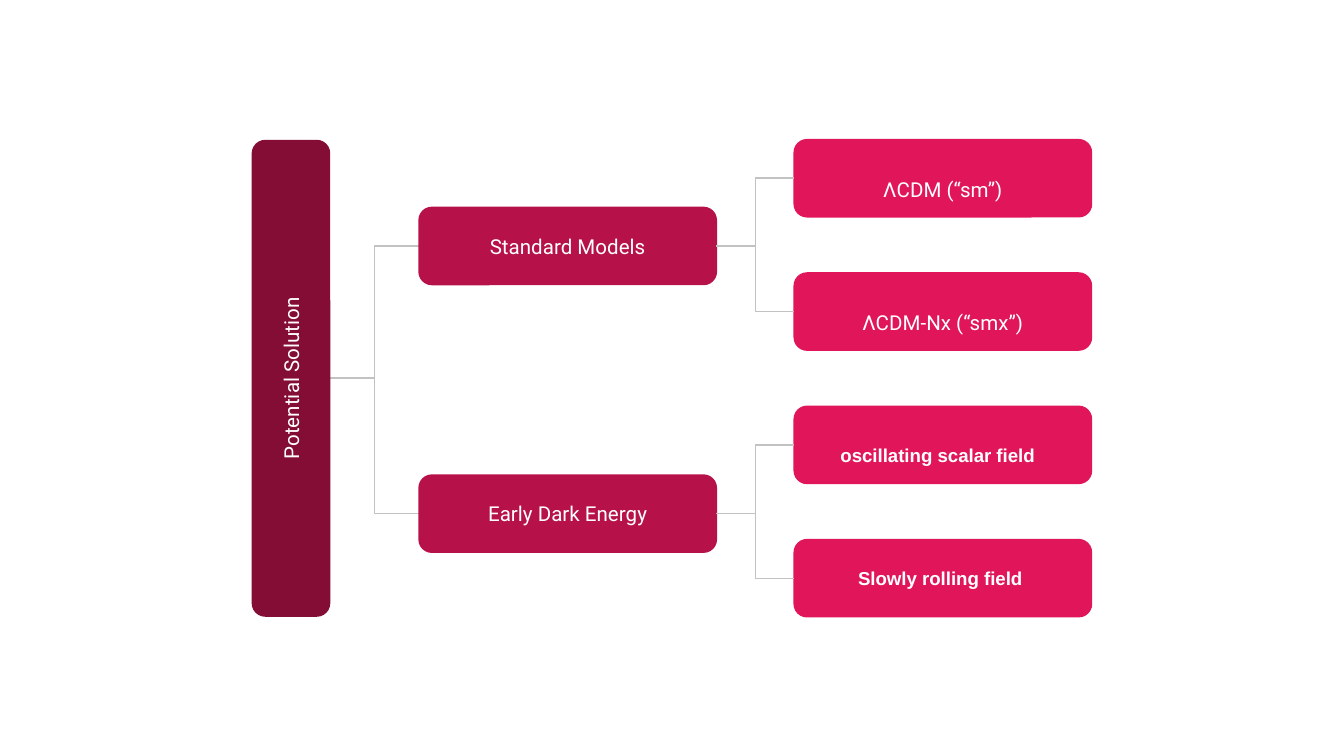
import lxml.etree
import pptx
import pptx.dml.color
import pptx.enum.shapes
import pptx.enum.text
import pptx.oxml.ns
import pptx.util

Cm = pptx.util.Cm
Pt = pptx.util.Pt


def colour(code):
    return pptx.dml.color.RGBColor.from_string(code)


class TreeSlide:
    """Style of the tree and the slide it is drawn on."""

    ROOT, BRANCH, LEAF = "840D35", "B61249", "E1165A"
    LINE, TEXT = "C2C2C2", "FFFFFF"
    THICKNESS = 1.46
    INSET = 0.25

    def __init__(self, deck):
        self.page = deck.slides.add_slide(deck.slide_layouts[6])

    def box(self, text, left, middle, width, fill, font="Roboto", size=11,
            bold=False, rotation=0, drop=0, shift=0):
        """Rounded box; drop and shift move its text down and to the left."""
        box = self.page.shapes.add_shape(
            pptx.enum.shapes.MSO_SHAPE.ROUNDED_RECTANGLE,
            Cm(left), Cm(middle - self.THICKNESS / 2), Cm(width), Cm(self.THICKNESS))
        box.rotation = rotation
        box.shadow.inherit = False
        box.fill.solid()
        box.fill.fore_color.rgb = colour(fill)
        box.line.color.rgb = colour(fill)
        box.line.width = Pt(0.75)

        frame = box.text_frame
        frame.word_wrap = True
        frame.vertical_anchor = pptx.enum.text.MSO_ANCHOR.MIDDLE
        frame.margin_left = frame.margin_bottom = Cm(self.INSET)
        frame.margin_top = Cm(self.INSET + 2 * drop)
        frame.margin_right = Cm(self.INSET + 2 * shift)

        para = frame.paragraphs[0]
        para.text = text
        para.alignment = pptx.enum.text.PP_ALIGN.CENTER
        para.font.name = font
        para.font.size = Pt(size)
        para.font.bold = bold
        para.font.color.rgb = colour(self.TEXT)

    def elbow(self, x1, y1, x2, y2):
        link = self.page.shapes.add_connector(
            pptx.enum.shapes.MSO_CONNECTOR.ELBOW, Cm(x1), Cm(y1), Cm(x2), Cm(y2))
        link.line.color.rgb = colour(self.LINE)
        link.line.width = Pt(0.75)
        lxml.etree.SubElement(link._element.spPr, pptx.oxml.ns.qn("a:effectLst"))


def main():
    deck = pptx.Presentation()
    deck.slide_width, deck.slide_height = Cm(25.4), Cm(14.29)
    tree = TreeSlide(deck)

    # Columns and rows
    root_x, root_y, root_length = 5.5, 7.15, 8.99
    branch_x, leaf_x, box_width = 7.92, 15.01, 5.62
    first_leaf_y, leaf_step = 3.37, 2.52
    bold_arial = dict(font="Arial", size=10, bold=True)
    branches = [
        ("Standard Models", 4.65, [
            ("ΛCDM (“sm”)", dict(drop=0.2)),
            ("ΛCDM-Nx (“smx”)", dict(drop=0.2)),
        ]),
        ("Early Dark Energy", 9.71, [
            ("oscillating scalar field", dict(bold_arial, drop=0.2, shift=0.1)),
            ("Slowly rolling field", dict(bold_arial, shift=0.05)),
        ]),
    ]

    # Root, turned to read upwards, over its links
    root_edge = root_x + tree.THICKNESS / 2
    for _, branch_y, _ in branches:
        tree.elbow(root_edge, root_y, branch_x, branch_y)
    tree.box("Potential Solution", root_x - root_length / 2, root_y,
             root_length, tree.ROOT, rotation=270)

    # Branches with their leaves
    leaf_y = first_leaf_y
    for name, branch_y, leaves in branches:
        tree.box(name, branch_x, branch_y, box_width, tree.BRANCH)
        for text, style in leaves:
            tree.box(text, leaf_x, leaf_y, box_width, tree.LEAF, **style)
            tree.elbow(branch_x + box_width, branch_y, leaf_x, leaf_y)
            leaf_y += leaf_step

    deck.save("out.pptx")


if __name__ == "__main__":
    main()
